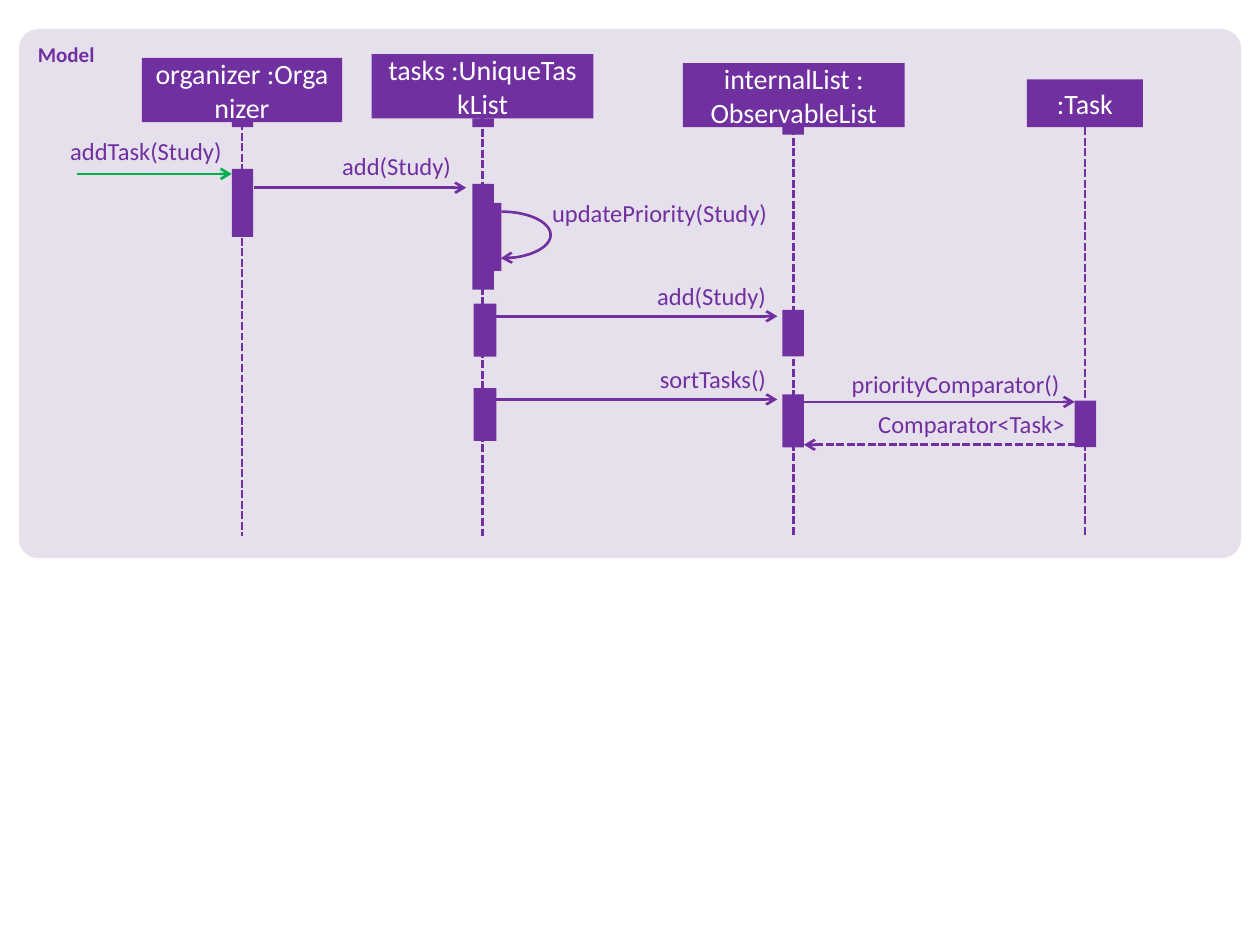
from lxml.etree import SubElement
from pptx import Presentation
from pptx.dml.color import RGBColor
from pptx.enum.dml import MSO_LINE
from pptx.enum.shapes import MSO_CONNECTOR, MSO_SHAPE
from pptx.enum.text import MSO_ANCHOR, MSO_AUTO_SIZE, PP_ALIGN
from pptx.oxml.ns import qn
from pptx.util import Inches, Pt

PURPLE, LILAC, GREEN, WHITE = "7030A0", "E6E0EC", "00B050", "FFFFFF"
LIFELINE_END = 4.25


def colour(value):
    return RGBColor.from_string(value)


class SequenceDiagram:
    font = "Calibri"
    line_width = 1.5
    label_width, label_height = 2.08, 0.24

    def __init__(self, page):
        self.page = page

    def set_text(self, shape, text, size, ink, align, bold=False):
        shape.text_frame.text = text
        para = shape.text_frame.paragraphs[0]
        para.alignment = align
        font = para.runs[0].font
        font.name, font.size, font.bold = self.font, Pt(size), bold
        font.color.rgb = colour(ink)

    def stroke(self, line, ink):
        line.color.rgb = colour(ink)
        line.width = Pt(self.line_width)

    def arrowhead(self, shape, end="tailEnd"):
        outline = shape._element.spPr.find(qn("a:ln"))
        SubElement(outline, qn("a:" + end), type="arrow")

    def box(self, left, top, width, height, fill=PURPLE, kind=MSO_SHAPE.RECTANGLE):
        shape = self.page.shapes.add_shape(
            kind, Inches(left), Inches(top), Inches(width), Inches(height))
        shape.shadow.inherit = False
        shape.fill.solid()
        shape.fill.fore_color.rgb = colour(fill)
        shape.line.fill.background()
        return shape

    def frame(self, title, left, top, width, height):
        shape = self.box(left, top, width, height, LILAC, MSO_SHAPE.ROUNDED_RECTANGLE)
        shape.adjustments[0] = 0.035
        self.stroke(shape.line, LILAC)
        shape.text_frame.vertical_anchor = MSO_ANCHOR.TOP
        self.set_text(shape, title, 12, PURPLE, PP_ALIGN.LEFT, bold=True)

    def line(self, start, end, ink=PURPLE, dashed=False):
        x1, y1, x2, y2 = (Inches(value) for value in (*start, *end))
        connector = self.page.shapes.add_connector(MSO_CONNECTOR.STRAIGHT, x1, y1, x2, y2)
        self.stroke(connector.line, ink)
        if dashed:
            connector.line.dash_style = MSO_LINE.SQUARE_DOT
        SubElement(connector._element.spPr, qn("a:effectLst"))
        return connector

    def participant(self, name, centre, top, width, height):
        header = self.box(centre - width / 2, top, width, height)
        header.text_frame.word_wrap = True
        header.text_frame.vertical_anchor = MSO_ANCHOR.MIDDLE
        self.set_text(header, name, 16, WHITE, PP_ALIGN.CENTER)
        lifeline = self.line((centre, top + height), (centre, LIFELINE_END), dashed=True)
        lifeline.begin_connect(header, 2)

    def message(self, start, end, y, ink=PURPLE, reply=False):
        connector = self.line((start, y), (end, y), ink, dashed=reply)
        self.arrowhead(connector, "headEnd" if reply else "tailEnd")

    def self_call(self, left, top, width, height):
        arc = self.box(left, top, width, height, kind=MSO_SHAPE.ARC)
        arc.fill.background()
        arc.adjustments[0], arc.adjustments[1] = 162, 54.995
        self.stroke(arc.line, PURPLE)
        self.arrowhead(arc)

    def label(self, text, right, top):
        box = self.page.shapes.add_textbox(
            Inches(right - self.label_width), Inches(top),
            Inches(self.label_width), Inches(self.label_height))
        frame = box.text_frame
        frame.margin_left = frame.margin_right = frame.margin_top = frame.margin_bottom = 0
        frame.word_wrap = True
        frame.auto_size = MSO_AUTO_SIZE.SHAPE_TO_FIT_TEXT
        self.set_text(box, text, 14, PURPLE, PP_ALIGN.RIGHT)


def main():
    deck = Presentation()
    deck.slide_width, deck.slide_height = Inches(10), Inches(7.5)
    diagram = SequenceDiagram(deck.slides.add_slide(deck.slide_layouts[6]))

    diagram.frame("Model", 0.16, 0.24, 9.68, 4.18)

    # Participants with their lifelines: name, centre, top, width, height
    for participant in (
        ("organizer :Organizer", 1.92, 0.46, 1.59, 0.51),
        ("tasks :UniqueTaskList", 3.83, 0.43, 1.76, 0.51),
        ("internalList : ObservableList", 6.3, 0.5, 1.76, 0.51),
        (":Task", 8.61, 0.63, 0.92, 0.38),
    ):
        diagram.participant(*participant)

    # Stubs under the headers
    for left, top in ((1.84, 0.94), (3.75, 0.94), (6.21, 1)):
        diagram.box(left, top, 0.17, 0.07)

    # Call to itself, ending at the nested activation bar
    diagram.self_call(3.59, 1.68, 0.78, 0.37)

    # Activation bars: left, top, width, height
    for bar in (
        (1.84, 1.34, 0.17, 0.54),
        (3.75, 1.46, 0.17, 0.84),
        (3.9, 1.61, 0.08, 0.54),
        (3.76, 2.41, 0.18, 0.42),
        (3.76, 3.08, 0.18, 0.42),
        (6.21, 2.46, 0.17, 0.37),
        (6.21, 3.13, 0.17, 0.42),
        (8.53, 3.18, 0.17, 0.37),
    ):
        diagram.box(*bar)

    # Message arrows: start, end, height on the page
    diagram.message(0.61, 1.84, 1.38, GREEN)
    for start, end, y in (
        (2.02, 3.7, 1.49),
        (3.94, 6.17, 2.51),
        (3.94, 6.17, 3.17),
        (6.38, 8.53, 3.19),
    ):
        diagram.message(start, end, y)
    diagram.message(6.38, 8.53, 3.53, reply=True)

    # Message labels: text, right edge, top
    for label in (
        ("addTask(Study)", 1.76, 1.08),
        ("add(Study)", 3.58, 1.2),
        ("updatePriority(Study)", 6.09, 1.57),
        ("add(Study)", 6.08, 2.23),
        ("sortTasks()", 6.08, 2.89),
        ("priorityComparator()", 8.41, 2.93),
        ("Comparator<Task>", 8.45, 3.25),
    ):
        diagram.label(*label)

    deck.save("out.pptx")


if __name__ == "__main__":
    main()
